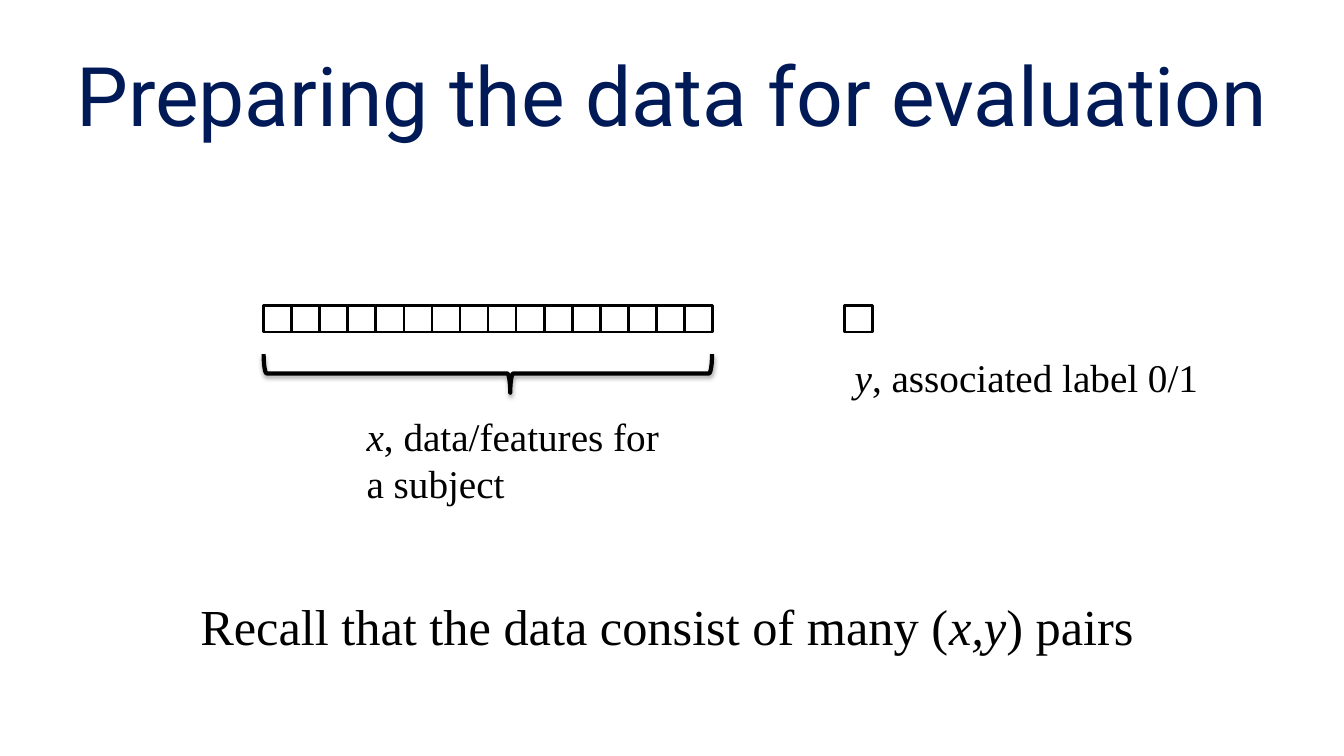
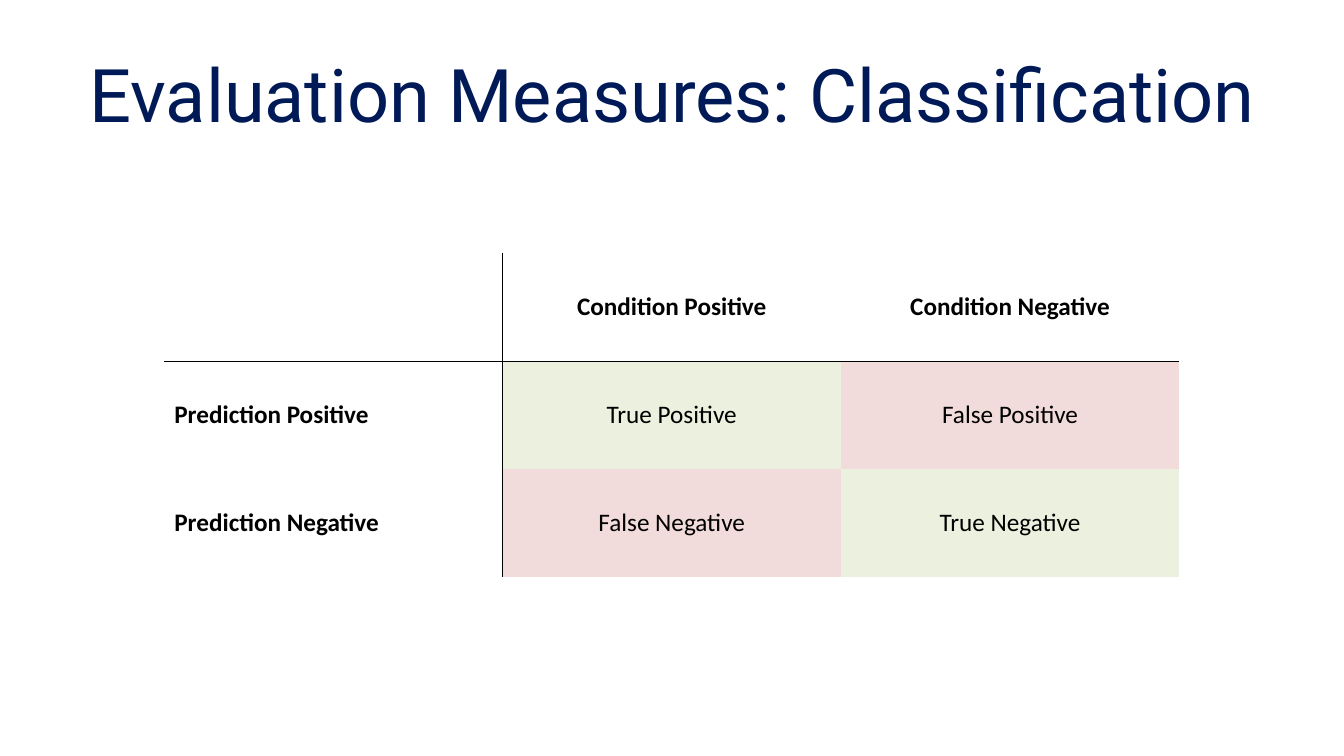
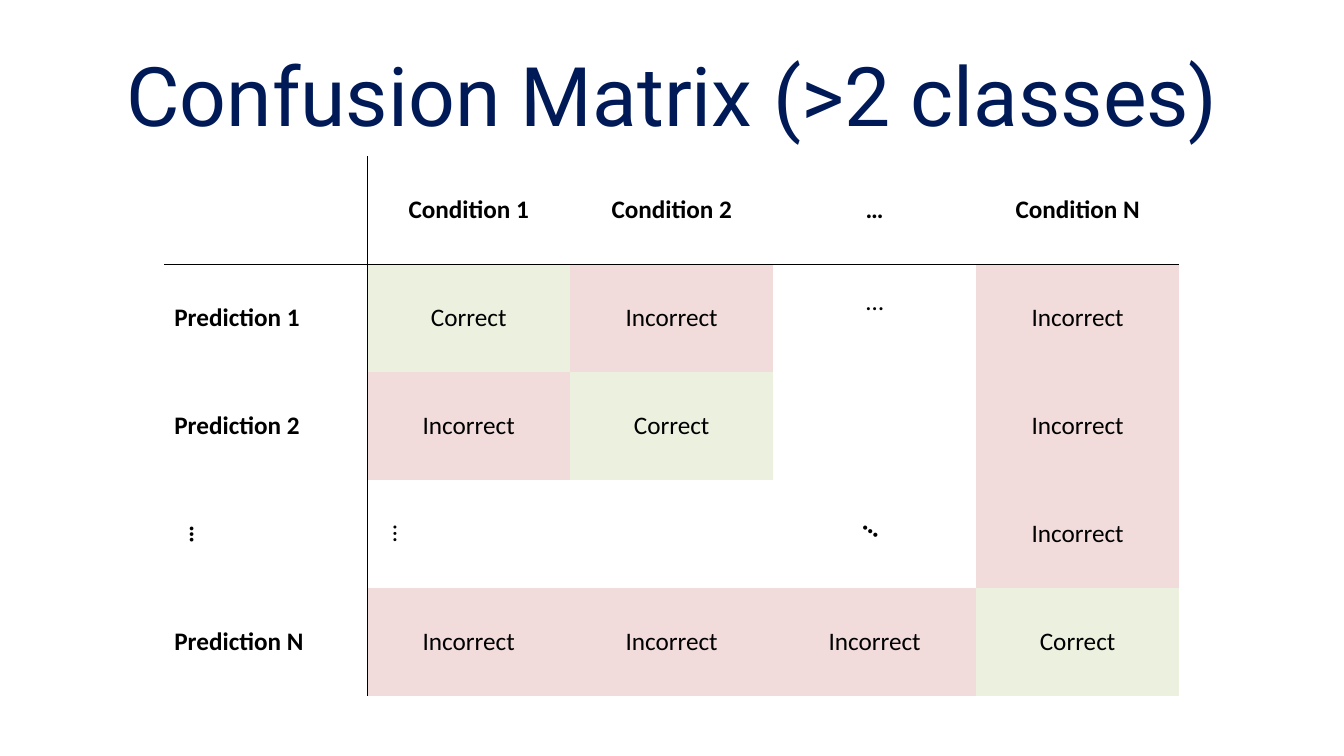
import lxml.etree
import pptx
import pptx.dml.color
import pptx.enum.shapes
import pptx.enum.text
import pptx.oxml
import pptx.oxml.ns
import pptx.util

Cm = pptx.util.Cm
Pt = pptx.util.Pt
Align = pptx.enum.text.PP_ALIGN
Anchor = pptx.enum.text.MSO_ANCHOR
Shape = pptx.enum.shapes.MSO_SHAPE
qn = pptx.oxml.ns.qn

NAVY = "001A57"
BLACK = "000000"
GREEN = "EBF1DE"
PINK = "F2DCDB"
OUTCOME_FILLS = {"True": GREEN, "Correct": GREEN, "False": PINK, "Incorrect": PINK}


def rgb(value):
    return pptx.dml.color.RGBColor.from_string(value)


def write(para, text, font="Calibri", size=18, color=BLACK, bold=False, italic=False):
    span = para.add_run()
    span.text = text
    span.font.name = font
    span.font.size = Pt(size)
    span.font.color.rgb = rgb(color)
    span.font.bold = bold
    span.font.italic = italic


def add_element(parent, tag, **attributes):
    return lxml.etree.SubElement(parent, qn(tag), attributes)


def draw_borders(cell, visible):
    properties = cell._tc.get_or_add_tcPr()
    for side in "LRTB":
        border = add_element(properties, f"a:ln{side}", w=str(Pt(1)))
        if side in visible:
            fill = add_element(border, "a:solidFill")
            add_element(fill, "a:srgbClr", val=BLACK)
        else:
            add_element(border, "a:noFill")


class Deck:
    def __init__(self):
        self.deck = pptx.Presentation()
        self.deck.slide_width = Cm(33.87)
        self.deck.slide_height = Cm(19.05)
        self.page = None

    def new_page(self, title, size=58.7, left=1.7, width=30.48):
        self.page = self.deck.slides.add_slide(self.deck.slide_layouts[5])
        box = self.page.shapes.title
        box.left, box.top, box.width, box.height = Cm(left), Cm(0.76), Cm(width), Cm(3.18)
        frame = box.text_frame
        frame.auto_size = pptx.enum.text.MSO_AUTO_SIZE.NONE
        frame.vertical_anchor = Anchor.MIDDLE
        para = frame.paragraphs[0]
        para.alignment = Align.CENTER
        write(para, title, font="Roboto", size=size, color=NAVY)

    def text(self, left, top, width, height, spans, wrap=True, rotation=0, **style):
        box = self.page.shapes.add_textbox(Cm(left), Cm(top), Cm(width), Cm(height))
        box.rotation = rotation
        box.text_frame.word_wrap = wrap
        for text, italic in spans:
            write(box.text_frame.paragraphs[0], text, italic=italic, **style)

    def outline(self, kind, left, top, width, height, weight=2):
        shape = self.page.shapes.add_shape(kind, Cm(left), Cm(top), Cm(width), Cm(height))
        shape.shadow.inherit = False
        shape.fill.background()
        shape.line.color.rgb = rgb(BLACK)
        shape.line.width = Pt(weight)
        return shape

    def brace(self, left, top, width, height):
        shape = self.outline(Shape.LEFT_BRACE, left, top, width, height, weight=3)
        shape.rotation = 270
        shape.adjustments[0] = 0.08
        shape.adjustments[1] = 0.55
        effects = shape.element.spPr.find(qn("a:effectLst"))
        shadow = add_element(effects, "a:outerShdw", blurRad=str(Pt(3.1)),
                             dist=str(Pt(1.8)), dir="5400000", rotWithShape="0")
        color = add_element(shadow, "a:srgbClr", val=BLACK)
        add_element(color, "a:alpha", val="35000")

    def matrix(self, top, rows, left=4.14, width=25.58, row_height=2.72):
        count = len(rows[0])
        table = self.page.shapes.add_table(len(rows), count, Cm(left), Cm(top), Cm(width),
                                           Cm(row_height * len(rows))).table
        table.first_row = table.horz_banding = False
        for column in table.columns:
            column.width = Cm(width / count)
        for row, texts in enumerate(rows):
            for column, text in enumerate(texts):
                self.matrix_cell(table.cell(row, column), row, column, text)
        return table

    def matrix_cell(self, cell, row, column, text):
        draw_borders(cell, {0: "R", 1: "L"}.get(column, "") + {0: "B", 1: "T"}.get(row, ""))
        fill = OUTCOME_FILLS.get(text.split(" ")[0])
        if fill:
            cell.fill.solid()
            cell.fill.fore_color.rgb = rgb(fill)
        else:
            cell.fill.background()
        cell.vertical_anchor = Anchor.MIDDLE
        if text:
            para = cell.text_frame.paragraphs[0]
            is_row_label = column == 0 and text != "…"
            para.alignment = Align.LEFT if is_row_label else Align.CENTER
            write(para, text, bold=row == 0 or column == 0)


def main():
    deck = Deck()

    deck.new_page("Preparing the data for evaluation", left=0, width=33.87)
    serif = "Times New Roman"
    features, row_left, row_width, label_left = 16, 6.65, 11.3, 21.29
    side = row_width / features
    deck.brace(11.81, 3.76, 0.97, row_width)
    for left in [row_left + index * side for index in range(features)] + [label_left]:
        deck.outline(Shape.RECTANGLE, left, 7.7, side, 0.67)
    deck.text(8.99, 10.26, 8.31, 2.64,
              [("x", True), (", data/features for a subject", False)], font=serif, size=28)
    deck.text(label_left, 8.79, 9.55, 1.45,
              [("y", True), (", associated label 0/1", False)], font=serif, size=28)
    deck.text(4.8, 14.88, 24.28, 1.8,
              [("Recall that the data consist of many (", False), ("x,y", True),
               (") pairs", False)], wrap=False, font=serif, size=36)

    deck.new_page("Evaluation Measures: Classification", size=52.8)
    deck.matrix(6.38, [
        ["", "Condition Positive", "Condition Negative"],
        ["Prediction Positive", "True Positive", "False Positive"],
        ["Prediction Negative", "False Negative", "True Negative"],
    ])

    deck.new_page("Confusion Matrix (>2 classes)")
    table = deck.matrix(3.94, [
        ["", "Condition 1", "Condition 2", "…", "Condition N"],
        ["Prediction 1", "Correct", "Incorrect", "…", "Incorrect"],
        ["Prediction 2", "Incorrect", "Correct", "", "Incorrect"],
        ["…", "…", "", "", "Incorrect"],
        ["Prediction N", "Incorrect", "Incorrect", "Incorrect", "Correct"],
    ])
    table.cell(1, 3).margin_bottom = Cm(0.95)
    for column in (0, 1):
        table.cell(3, column)._tc.get_or_add_tcPr().set("vert", "vert270")
    deck.text(21.56, 12.65, 1.02, 1.12, [("…", False)], wrap=False, rotation=35,
              size=20, bold=True)

    deck.deck.save("out.pptx")


if __name__ == "__main__":
    main()
